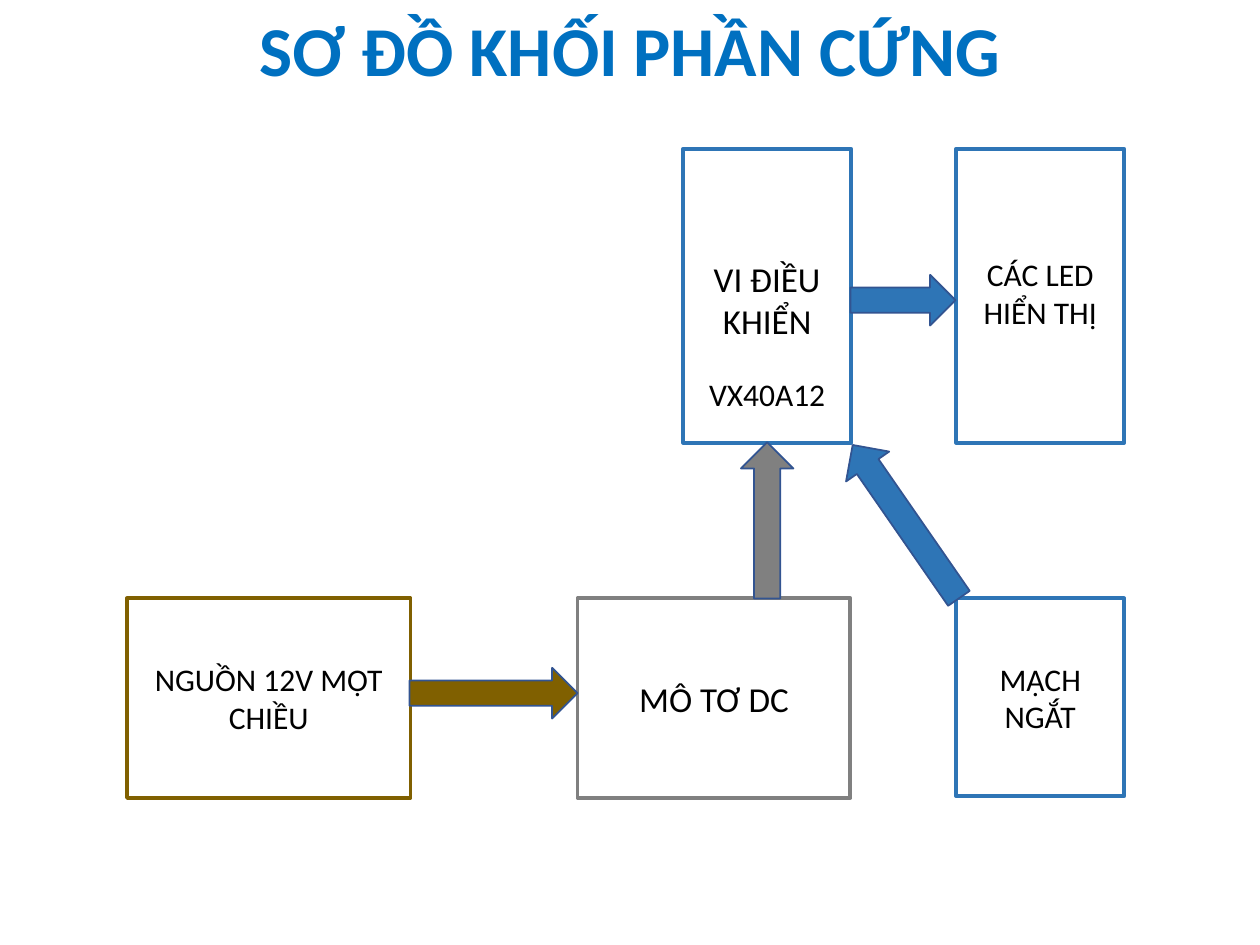
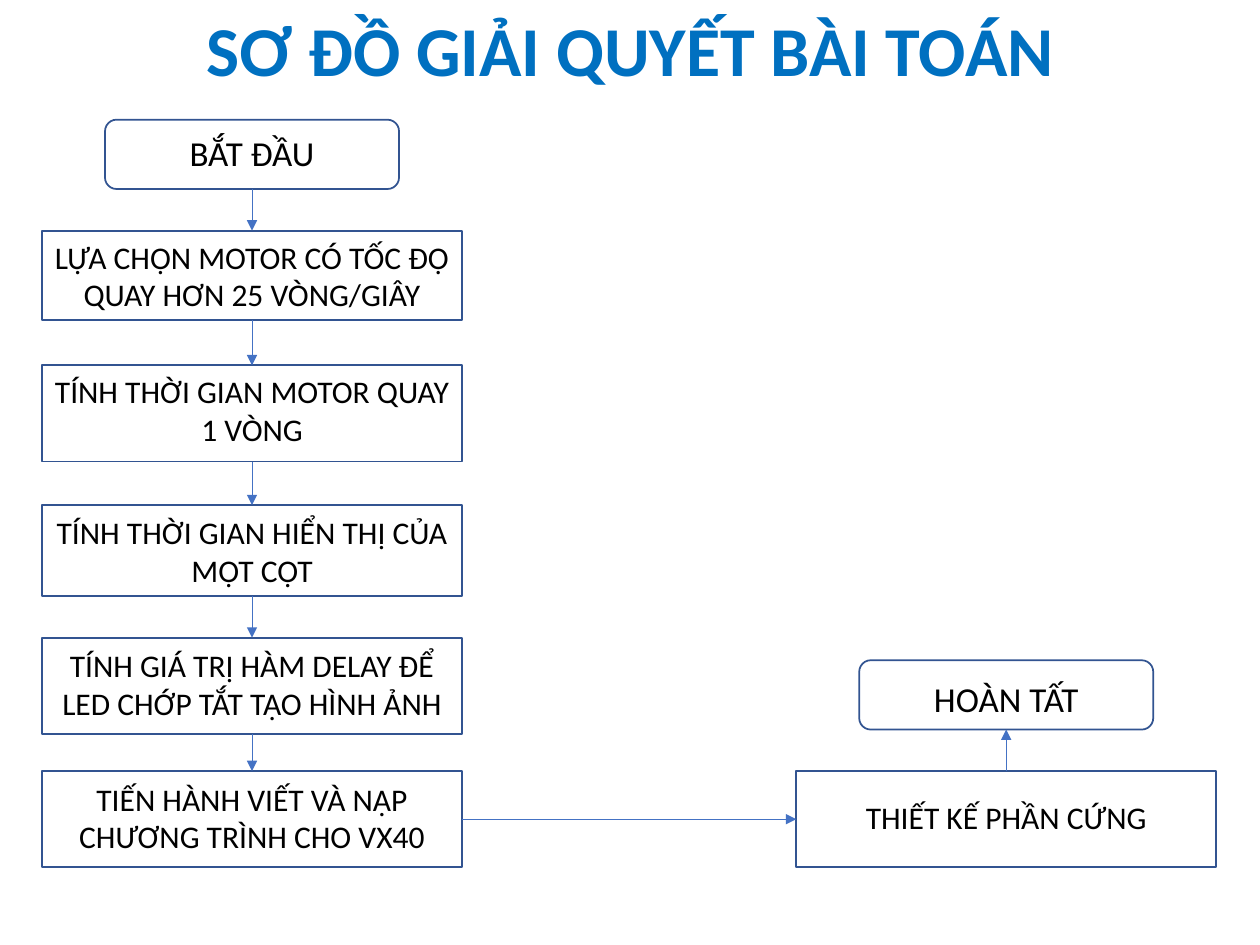
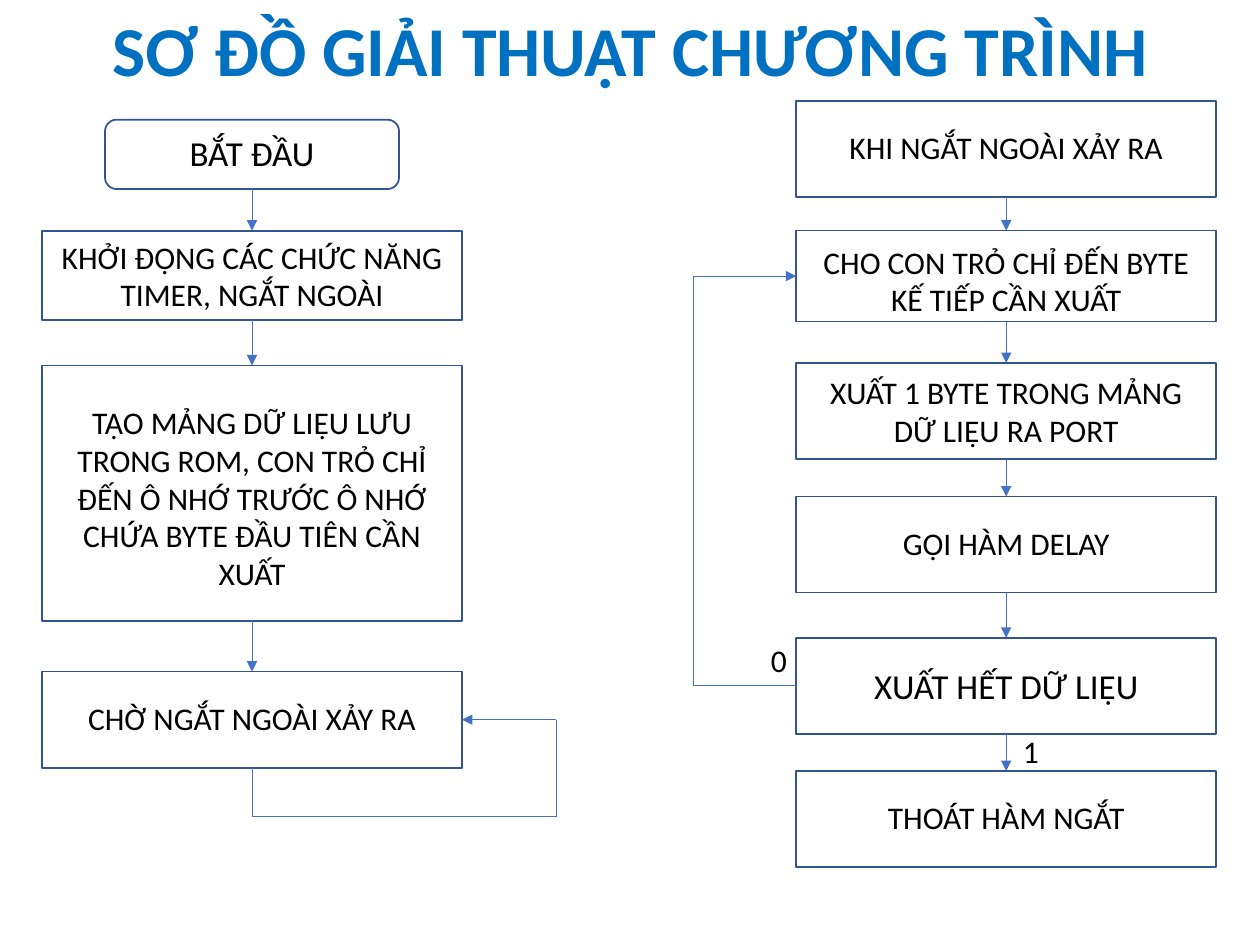
from dataclasses import dataclass

from lxml import etree
from pptx import Presentation
from pptx.dml.color import RGBColor
from pptx.enum.shapes import MSO_CONNECTOR as Connector, MSO_SHAPE as Shape
from pptx.enum.text import MSO_ANCHOR as Anchor, PP_ALIGN as Align
from pptx.oxml.ns import qn
from pptx.util import Pt


@dataclass(frozen=True)
class Theme:
    font: str = "Calibri"
    title: str = "0070C0"
    text: str = "000000"
    outline: str = "325491"
    connector: str = "4472C4"
    blue: str = "2E75B6"
    brown: str = "806000"
    gray: str = "808080"
    white: str = "FFFFFF"
    title_size: int = 40
    large: int = 20
    body: int = 18
    thin: float = 0.5
    normal: float = 1
    thick: float = 2.25


THEME = Theme()
TOP, LEFT, BOTTOM, RIGHT = range(4)  # connection sites of a rectangle

# Flowchart columns and rows
LEFT_COLUMN, RIGHT_COLUMN, STEP_WIDTH = 24, 455, 240
TERMINAL_WIDTH, TERMINAL_HEIGHT = 168, 39.6
STEP_HEIGHT = 55
START_TOP, FIRST_TOP, SECOND_TOP = 68.4, 131.8, 208.8
THIRD_TOP, FOURTH_TOP, LAST_TOP = 288.7, 364.4, 440.6


def color(value):
    return RGBColor.from_string(value)


# Text
def style(para, size, align=Align.CENTER, tint=THEME.text, bold=False):
    para.alignment = align
    para.font.name = THEME.font
    para.font.size = Pt(size)
    para.font.bold = bold
    para.font.color.rgb = color(tint)


def add_text(page, frame, text, size, **options):
    box = page.shapes.add_textbox(*map(Pt, frame))
    box.text_frame.word_wrap = True
    box.text_frame.text = text
    style(box.text_frame.paragraphs[0], size, **options)


def add_page(deck, title):
    page = deck.slides.add_slide(deck.slide_layouts[6])
    add_text(page, (0, 0, 720, 55.4), title, THEME.title_size, tint=THEME.title, bold=True)
    return page


# Shapes
def add_box(page, kind, frame, outline, weight, fill=None):
    box = page.shapes.add_shape(kind, *map(Pt, frame))
    box.shadow.inherit = False
    box.line.color.rgb = color(outline)
    box.line.width = Pt(weight)
    if fill:
        box.fill.solid()
        box.fill.fore_color.rgb = color(fill)
    else:
        box.fill.background()
    return box


def write_in(box, text, size, shift=0):
    """Centre the text in the box, moved down by shift points."""
    frame = box.text_frame
    frame.word_wrap = True
    frame.vertical_anchor = Anchor.MIDDLE
    frame.margin_top, frame.margin_bottom = Pt(3.6 + shift), Pt(3.6 - shift)
    frame.text = text
    style(frame.paragraphs[0], size)


def add_block(page, frame, outline, text, size=THEME.body, fill=None, shift=0):
    box = add_box(page, Shape.RECTANGLE, frame, outline, THEME.thick, fill)
    write_in(box, text, size, shift)
    return box


def add_arrow(page, kind, frame, fill, rotation=0):
    arrow = add_box(page, kind, frame, THEME.outline, THEME.normal, fill)
    arrow.rotation = rotation


def add_step(page, left, top, text, height=STEP_HEIGHT, size=THEME.body, shift=0,
             kind=Shape.FLOWCHART_PROCESS):
    frame = (left, top, STEP_WIDTH, height)
    step = add_box(page, kind, frame, THEME.outline, THEME.normal)
    write_in(step, text, size, shift)
    return step


def add_terminal(page, left, top, text, shift=0):
    frame = (left, top, TERMINAL_WIDTH, TERMINAL_HEIGHT)
    terminal = add_box(page, Shape.FLOWCHART_ALTERNATE_PROCESS, frame,
                       THEME.outline, THEME.normal)
    write_in(terminal, text, THEME.large, shift)
    return terminal


# Connectors
def side(box, site):
    """Middle of one side of the box."""
    x = {LEFT: box.left, RIGHT: box.left + box.width}.get(site, box.left + box.width // 2)
    y = {TOP: box.top, BOTTOM: box.top + box.height}.get(site, box.top + box.height // 2)
    return x, y


def add_line(page, begin, end, arrow):
    line = page.shapes.add_connector(Connector.STRAIGHT, *begin, *end)
    line.line.color.rgb = color(THEME.connector)
    line.line.width = Pt(THEME.thin)
    properties = line._element.spPr
    if arrow:
        etree.SubElement(properties.find(qn("a:ln")), qn("a:tailEnd"), type="triangle")
    etree.SubElement(properties, qn("a:effectLst"))
    return line


def add_route(page, source, source_site, target, target_site, corners=()):
    """Straight lines from box to box by way of the corners, arrow at the end."""
    points = [side(source, source_site), *corners, side(target, target_site)]
    last = len(points) - 2
    lines = [add_line(page, points[i], points[i + 1], i == last) for i in range(last + 1)]
    lines[0].begin_connect(source, source_site)
    lines[-1].end_connect(target, target_site)


def chain(page, steps):
    for above, below in zip(steps, steps[1:]):
        add_route(page, above, BOTTOM, below, TOP)


# Slides
def build_hardware(deck):
    page = add_page(deck, "SƠ ĐỒ KHỐI PHẦN CỨNG")

    # Blocks
    controller = add_block(page, (390.4, 85, 96, 168), THEME.blue, "VI ĐIỀU KHIỂN", THEME.large)
    frame = controller.text_frame
    frame.vertical_anchor = Anchor.TOP
    frame.margin_top = Pt(62)
    chip = frame.add_paragraph()
    chip.text = "VX40A12"
    chip.space_before = Pt(19)
    style(chip, THEME.body)
    add_block(page, (546.4, 85, 96, 168), THEME.blue, "CÁC LED HIỂN THỊ", shift=-1.5)
    add_block(page, (72.6, 342, 162, 114), THEME.brown, "NGUỒN 12V MỘT CHIỀU")
    add_block(page, (330, 342, 156, 114), THEME.gray, "MÔ TƠ DC", THEME.large)
    add_block(page, (546.4, 342, 96, 113), THEME.blue, "MẠCH NGẮT", fill=THEME.white)

    # Block arrows
    add_arrow(page, Shape.RIGHT_ARROW, (486, 157, 60, 29), THEME.blue)
    add_arrow(page, Shape.DOWN_ARROW, (423.4, 252.7, 30, 89.3), THEME.gray, 180)
    add_arrow(page, Shape.RIGHT_ARROW, (234, 381.6, 96, 29), THEME.brown)
    add_arrow(page, Shape.DOWN_ARROW, (502.6, 244.8, 30, 106.6), THEME.blue, 145.3)


def build_solution(deck):
    page = add_page(deck, "SƠ ĐỒ GIẢI QUYẾT BÀI TOÁN")

    # Steps on the left
    steps = [
        add_terminal(page, 60, START_TOP, "BẮT ĐẦU", shift=-1),
        add_step(page, LEFT_COLUMN, FIRST_TOP, "LỰA CHỌN MOTOR CÓ TỐC ĐỘ QUAY HƠN 25 VÒNG/GIÂY",
                 height=51, kind=Shape.RECTANGLE),
        add_step(page, LEFT_COLUMN, SECOND_TOP, "TÍNH THỜI GIAN MOTOR QUAY 1 VÒNG", shift=-2),
        add_step(page, LEFT_COLUMN, THIRD_TOP, "TÍNH THỜI GIAN HIỂN THỊ CỦA MỘT CỘT", height=52),
        add_step(page, LEFT_COLUMN, FOURTH_TOP,
                 "TÍNH GIÁ TRỊ HÀM DELAY ĐỂ LED CHỚP TẮT TẠO HÌNH ẢNH", shift=-1),
        add_step(page, LEFT_COLUMN, LAST_TOP, "TIẾN HÀNH VIẾT VÀ NẠP CHƯƠNG TRÌNH CHO VX40",
                 shift=-1, kind=Shape.RECTANGLE),
    ]
    chain(page, steps)

    # Finish on the right
    hardware = add_step(page, RIGHT_COLUMN, LAST_TOP, "THIẾT KẾ PHẦN CỨNG", shift=-1.5,
                        kind=Shape.RECTANGLE)
    finish = add_terminal(page, 491, 377.3, "HOÀN TẤT", shift=2)
    add_route(page, steps[-1], RIGHT, hardware, LEFT)
    add_route(page, hardware, TOP, finish, BOTTOM)


def build_algorithm(deck):
    page = add_page(deck, "SƠ ĐỒ GIẢI THUẬT CHƯƠNG TRÌNH")

    # Main program
    wait = add_step(page, LEFT_COLUMN, 383.8, "CHỜ NGẮT NGOÀI XẢY RA", shift=-1)
    chain(page, [
        add_terminal(page, 60, START_TOP, "BẮT ĐẦU", shift=-1),
        add_step(page, LEFT_COLUMN, FIRST_TOP, "KHỞI ĐỘNG CÁC CHỨC NĂNG TIMER, NGẮT NGOÀI",
                 height=51, kind=Shape.RECTANGLE),
        add_step(page, LEFT_COLUMN, SECOND_TOP,
                 "TẠO MẢNG DỮ LIỆU LƯU TRONG ROM, CON TRỎ CHỈ ĐẾN Ô NHỚ TRƯỚC Ô NHỚ "
                 "CHỨA BYTE ĐẦU TIÊN CẦN XUẤT", height=146, shift=2.5),
        wait,
    ])

    # Interrupt routine
    pointer = add_step(page, RIGHT_COLUMN, FIRST_TOP, "CHO CON TRỎ CHỈ ĐẾN BYTE KẾ TIẾP CẦN XUẤT",
                       height=52, shift=2.5)
    check = add_step(page, RIGHT_COLUMN, FOURTH_TOP, "XUẤT HẾT DỮ LIỆU", size=THEME.large,
                     kind=Shape.RECTANGLE)
    chain(page, [
        add_step(page, RIGHT_COLUMN, 57.6, "KHI NGẮT NGOÀI XẢY RA", shift=-1),
        pointer,
        add_step(page, RIGHT_COLUMN, 207.4, "XUẤT 1 BYTE TRONG MẢNG DỮ LIỆU RA PORT"),
        add_step(page, RIGHT_COLUMN, 283.7, "GỌI HÀM DELAY", shift=-1, kind=Shape.RECTANGLE),
        check,
        add_step(page, RIGHT_COLUMN, LAST_TOP, "THOÁT HÀM NGẮT", shift=-1.5,
                 kind=Shape.RECTANGLE),
    ])

    # Loops
    wait_x, wait_y = side(wait, BOTTOM)[0], side(wait, RIGHT)[1]
    lane_x, lane_y = Pt(318), Pt(466.6)
    add_route(page, wait, BOTTOM, wait, RIGHT,
              [(wait_x, lane_y), (lane_x, lane_y), (lane_x, wait_y)])
    add_route(page, check, LEFT, pointer, LEFT,
              [(Pt(396), side(box, LEFT)[1]) for box in (check, pointer)])

    # Branch labels
    add_text(page, (433.4, 363, 22.3, 29), "0", THEME.body, align=Align.LEFT)
    add_text(page, (577.4, 414.7, 22.3, 29), "1", THEME.body, align=Align.LEFT)


def main():
    deck = Presentation()
    deck.slide_width, deck.slide_height = Pt(720), Pt(540)
    build_hardware(deck)
    build_solution(deck)
    build_algorithm(deck)
    deck.save("out.pptx")


if __name__ == "__main__":
    main()
